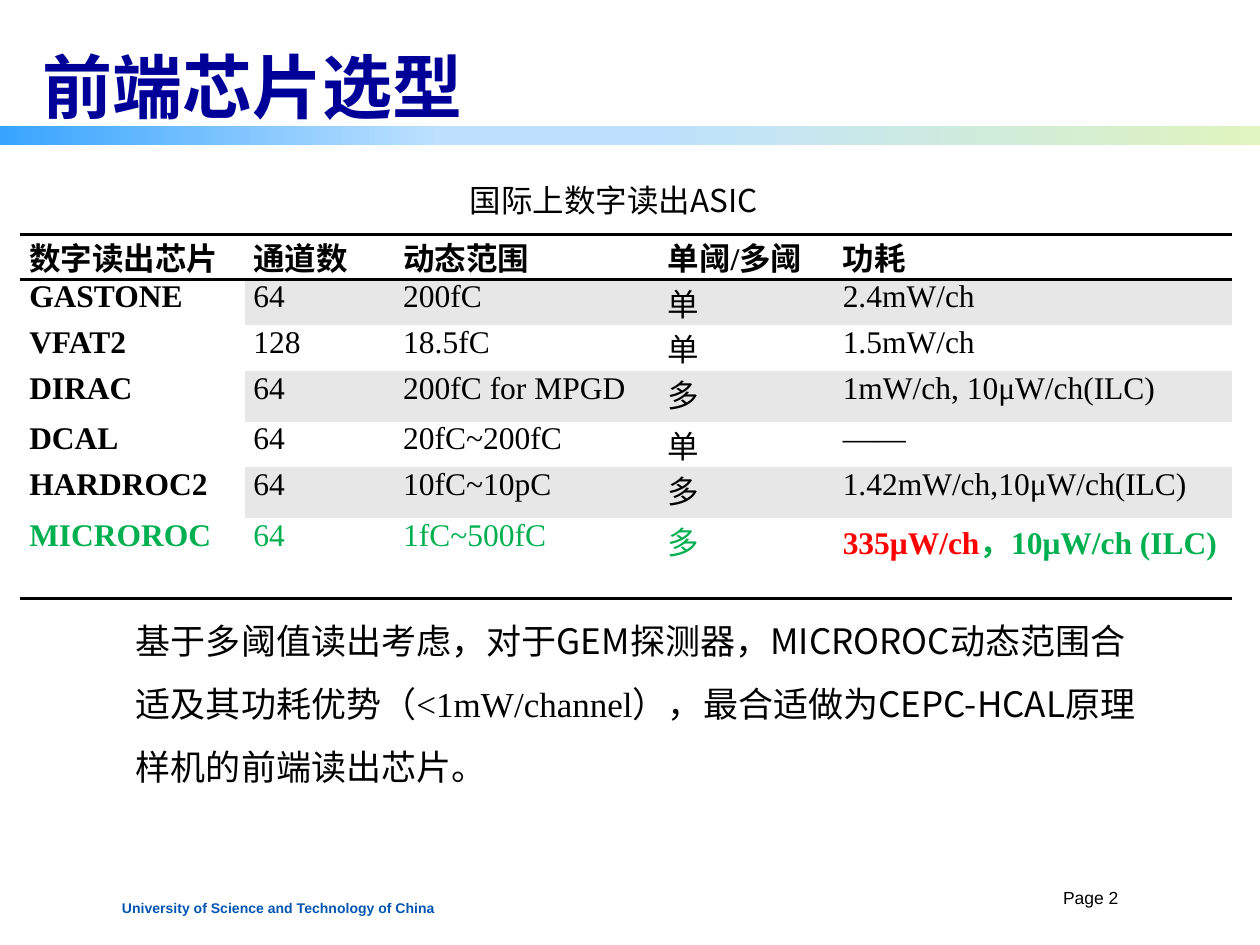
"""Build the slide on choosing a front-end readout chip."""
from dataclasses import dataclass

from lxml.etree import SubElement
from pptx import Presentation
from pptx.dml.color import RGBColor as RGB
from pptx.enum.shapes import MSO_SHAPE
from pptx.enum.text import MSO_ANCHOR, MSO_AUTO_SIZE, PP_ALIGN
from pptx.oxml.ns import qn
from pptx.util import Cm, Pt


@dataclass(frozen=True)
class Theme:
    cjk: str = "Noto Sans CJK SC"
    serif: str = "Times New Roman"
    sans: str = "Arial"
    title: str = "000099"
    text: str = "000000"
    footer: str = "0256B2"
    paper: str = "FFFFFF"
    band: str = "E7E7E7"
    green: str = "00B050"
    red: str = "FF0000"
    bar: tuple = ((0, "38A4FF"), (35, "BDE1FF"), (51, "BDE1FF"), (100, "DFF4BE"))
    title_pt: int = 40
    body_pt: int = 20
    table_pt: int = 18
    page_pt: int = 10
    footer_pt: int = 8
    rule_pt: int = 2


T = Theme()


def add_run(p, text, font, size, color=T.text, bold=False):
    r = p.add_run()
    r.text = text
    r.font.name, r.font.size, r.font.bold = font, Pt(size), bold
    r.font.color.rgb = RGB.from_string(color)
    SubElement(r.font._element, qn("a:ea"), typeface=T.cjk)


def add_rule(cell, side, index):
    tcPr = cell._tc.get_or_add_tcPr()
    ln = SubElement(tcPr, qn(f"a:{side}"), w=str(Pt(T.rule_pt)))
    fill = SubElement(ln, qn("a:solidFill"))
    SubElement(fill, qn("a:srgbClr"), val=T.text)
    tcPr.insert(index, ln)


prs = Presentation()
prs.slide_width, prs.slide_height = Cm(25.4), Cm(19.05)
s = prs.slides.add_slide(prs.slide_layouts[5])

bar = s.shapes.add_shape(MSO_SHAPE.RECTANGLE, 0, Cm(2.54), prs.slide_width, Cm(0.38))
bar.shadow.inherit = False
bar.line.fill.background()
bar.fill.gradient()
bar.fill.gradient_angle = 0
stops = bar._element.spPr.find(qn("a:gradFill")).find(qn("a:gsLst"))
stops.clear()
for percent, color in T.bar:
    stop = SubElement(stops, qn("a:gs"), pos=str(percent * 1000))
    SubElement(stop, qn("a:srgbClr"), val=color)

title = s.shapes.title
title.left, title.top, title.width, title.height = Cm(0.86), Cm(0.91), Cm(23.67), Cm(1.85)
tf = title.text_frame
tf.auto_size = MSO_AUTO_SIZE.NONE
tf.vertical_anchor = MSO_ANCHOR.MIDDLE
tf.margin_left = tf.margin_right = 0
p = tf.paragraphs[0]
p.alignment, p.line_spacing = PP_ALIGN.LEFT, 0.9
add_run(p, "前端芯片选型", T.cjk, T.title_pt, T.title, True)

chips = [
    ("数字读出芯片", "通道数", "动态范围", "单阈/多阈", "功耗"),
    ("GASTONE", "64", "200fC", "单", "2.4mW/ch"),
    ("VFAT2", "128", "18.5fC", "单", "1.5mW/ch"),
    ("DIRAC", "64", "200fC for MPGD", "多", "1mW/ch, 10μW/ch(ILC)"),
    ("DCAL", "64", "20fC~200fC", "单", "——"),
    ("HARDROC2", "64", "10fC~10pC", "多", "1.42mW/ch,10μW/ch(ILC)"),
    ("MICROROC", "64", "1fC~500fC", "多", "335μW/ch|，10μW/ch (ILC)"),
]
col_widths = [4.52, 3.02, 5.33, 3.53, 8.03]
row_heights = [0.76, 0.76, 0.76, 1.02, 0.76, 1.02, 1.02]
last = len(chips) - 1
frame = s.shapes.add_table(len(chips), len(col_widths), Cm(0.41), Cm(4.72),
                           Cm(sum(col_widths)), Cm(sum(row_heights)))
table = frame.table
table.first_row = table.horz_banding = False
table._tbl.tblPr.find(qn("a:tableStyleId")).text = "{2D5ABB26-0587-4C30-8999-92F81FD0307C}"
for col, width in zip(table.columns, col_widths):
    col.width = Cm(width)
for i, (row, height, values) in enumerate(zip(table.rows, row_heights, chips)):
    row.height = Cm(height)
    for j, (cell, value) in enumerate(zip(row.cells, values)):
        cell.margin_left = cell.margin_right = Cm(0.18)
        cell.margin_top = cell.margin_bottom = 0
        cell.fill.solid()
        cell.fill.fore_color.rgb = RGB.from_string(T.band if i % 2 and j else T.paper)
        if i == 0:
            add_rule(cell, "lnT", 0)
            add_rule(cell, "lnB", 1)
        elif i == last:
            add_rule(cell, "lnB", 0)
        p = cell.text_frame.paragraphs[0]
        p.alignment = PP_ALIGN.JUSTIFY
        parts = value.split("|")
        bold = i == 0 or j == 0 or len(parts) > 1
        colors = [T.red, T.green] if len(parts) > 1 else [T.green if i == last else T.text]
        for part, color in zip(parts, colors):
            add_run(p, part, T.serif, T.table_pt, color, bold)

boxes = [
    ((9.22, 3.53, 6.76, 1.02), True, 1,
     [("国际上数字读出ASIC", T.cjk, T.table_pt)]),
    ((2.49, 11.94, 20.7, 4.11), True, 1.5,
     [("基于多阈值读出考虑，对于GEM探测器，MICROROC动态范围合适及其功耗优势（", T.cjk, T.body_pt),
      ("<1mW/channel", T.serif, T.body_pt),
      ("），最合适做为CEPC-HCAL原理样机的前端读出芯片。", T.cjk, T.body_pt)]),
    ((21.18, 17.75, 3.73, 0.69), True, 1, [("Page 2", T.sans, T.page_pt)]),
    ((2.21, 18.01, 6.91, 0.61), False, 1,
     [("University of Science and Technology of China", T.sans, T.footer_pt, T.footer, True)]),
]
for place, wrap, spacing, runs in boxes:
    tf = s.shapes.add_textbox(*map(Cm, place)).text_frame
    tf.word_wrap = wrap
    p = tf.paragraphs[0]
    p.line_spacing = spacing
    for run in runs:
        add_run(p, *run)

prs.save("out.pptx")
